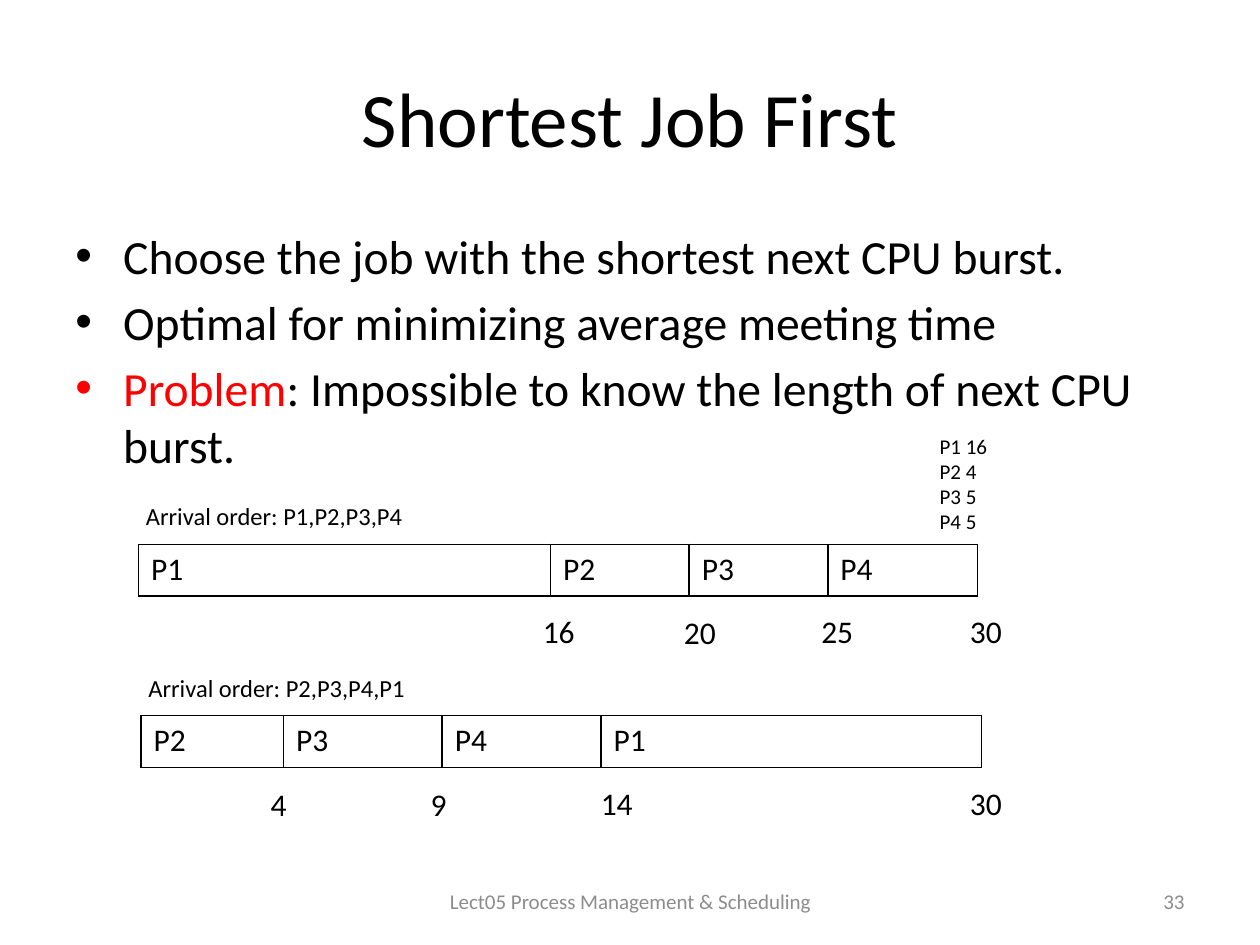
from dataclasses import dataclass
from typing import Any

from lxml.etree import SubElement
from pptx import Presentation
from pptx.dml.color import RGBColor
from pptx.enum.text import MSO_ANCHOR, MSO_AUTO_SIZE, PP_ALIGN
from pptx.oxml.ns import qn
from pptx.util import Pt

SCALE = 9144


@dataclass(frozen=True)
class Theme:
    font: str = "Calibri"
    black: str = "000000"
    white: str = "FFFFFF"
    red: str = "FF0000"
    gray: str = "8C8C8C"
    title: float = 44
    body: float = 27.2
    cell: float = 18
    label: float = 14
    small: float = 12
    gap: float = 5
    line: float = 1


THEME = Theme()


@dataclass(frozen=True)
class Run:
    text: str
    size: float
    color: str = THEME.black


@dataclass(frozen=True)
class Box:
    left: int
    top: int
    width: int
    height: int
    paras: tuple[tuple[Run, ...], ...]
    align: Any = PP_ALIGN.LEFT
    anchor: Any = MSO_ANCHOR.TOP
    wrap: bool = True
    bullet: bool = False


@dataclass(frozen=True)
class Mark:
    text: str
    left: int
    top: int
    width: int = 46


@dataclass(frozen=True)
class Chart:
    order: str
    left: int
    top: int
    label: tuple[int, int]
    widths: tuple[int, ...]
    marks: tuple[Mark, ...]


def px(size: int) -> int:
    return size * SCALE


def add_run(para: Any, item: Run) -> None:
    run = para.add_run()
    run.text = item.text
    run.font.name = THEME.font
    run.font.size = Pt(item.size)
    run.font.color.rgb = RGBColor.from_string(item.color)


def add_bullet(para: Any) -> None:
    para.space_before = Pt(THEME.gap)
    props = para._p.get_or_add_pPr()
    props.set("marL", str(px(38)))
    props.set("indent", str(-px(38)))
    SubElement(props, qn("a:buFont"), typeface="Arial")
    SubElement(props, qn("a:buChar"), char="•")


def add_box(slide: Any, box: Box) -> None:
    sides = (box.left, box.top, box.width, box.height)
    frame = slide.shapes.add_textbox(*map(px, sides)).text_frame
    frame.word_wrap = box.wrap
    frame.auto_size = MSO_AUTO_SIZE.NONE
    frame.vertical_anchor = box.anchor
    for index, runs in enumerate(box.paras):
        para = frame.add_paragraph() if index else frame.paragraphs[0]
        para.alignment = box.align
        if box.bullet:
            add_bullet(para)
        for item in runs:
            add_run(para, item)


def add_edges(cell: Any) -> None:
    props = cell._tc.get_or_add_tcPr()
    for index, side in enumerate(("lnL", "lnR", "lnT", "lnB")):
        line = props.makeelement(qn(f"a:{side}"), {"w": str(Pt(THEME.line))})
        fill = SubElement(line, qn("a:solidFill"))
        SubElement(fill, qn("a:srgbClr"), val=THEME.black)
        props.insert(index, line)


def add_chart(slide: Any, chart: Chart) -> None:
    names = chart.order.split(",")
    left, top = chart.label
    text = Run(f"Arrival order: {chart.order}", THEME.label)
    add_box(slide, Box(left, top, 226, 34, ((text,),), wrap=False))
    sides = (chart.left, chart.top, sum(chart.widths), 41)
    table = slide.shapes.add_table(1, len(names), *map(px, sides)).table
    for index, (name, width) in enumerate(zip(names, chart.widths)):
        table.columns[index].width = px(width)
        cell = table.cell(0, index)
        cell.fill.solid()
        cell.fill.fore_color.rgb = RGBColor.from_string(THEME.white)
        add_run(cell.text_frame.paragraphs[0], Run(name, THEME.cell))
        add_edges(cell)
    for mark in chart.marks:
        time = Run(mark.text, THEME.cell)
        add_box(slide, Box(mark.left, mark.top, mark.width, 40, ((time,),), wrap=False))


BOXES = (
    Box(50, 30, 900, 125, ((Run("Shortest Job First", THEME.title),),),
        PP_ALIGN.CENTER, MSO_ANCHOR.MIDDLE),
    Box(50, 175, 900, 184, (
        (Run("Choose the job with the shortest next CPU burst.", THEME.body),),
        (Run("Optimal for minimizing average meeting time", THEME.body),),
        (Run("Problem", THEME.body, THEME.red),
         Run(": Impossible to know the length of next CPU burst.", THEME.body)),
    ), bullet=True),
    Box(736, 339, 77, 91, tuple(
        (Run(text, THEME.small),) for text in ("P1 16", "P2 4", "P3 5", "P4 5"))),
    Box(342, 695, 317, 40,
        ((Run("Lect05 Process Management & Scheduling", THEME.small, THEME.gray),),),
        PP_ALIGN.CENTER, MSO_ANCHOR.MIDDLE),
    Box(717, 695, 233, 40, ((Run("33", THEME.small, THEME.gray),),),
        PP_ALIGN.RIGHT, MSO_ANCHOR.MIDDLE),
)

CHARTS = (
    Chart("P1,P2,P3,P4", 110, 432, (106, 393), (327, 110, 110, 119), (
        Mark("16", 421, 481), Mark("20", 533, 482),
        Mark("25", 642, 481), Mark("30", 760, 481))),
    Chart("P2,P3,P4,P1", 112, 568, (108, 529), (113, 126, 126, 302), (
        Mark("4", 205, 618, 33), Mark("9", 332, 618, 33),
        Mark("14", 467, 617), Mark("30", 760, 617))),
)


def main() -> None:
    deck = Presentation()
    deck.slide_width, deck.slide_height = px(1000), px(750)
    slide = deck.slides.add_slide(deck.slide_layouts[6])
    for box in BOXES:
        add_box(slide, box)
    for chart in CHARTS:
        add_chart(slide, chart)
    deck.save("out.pptx")


if __name__ == "__main__":
    main()
